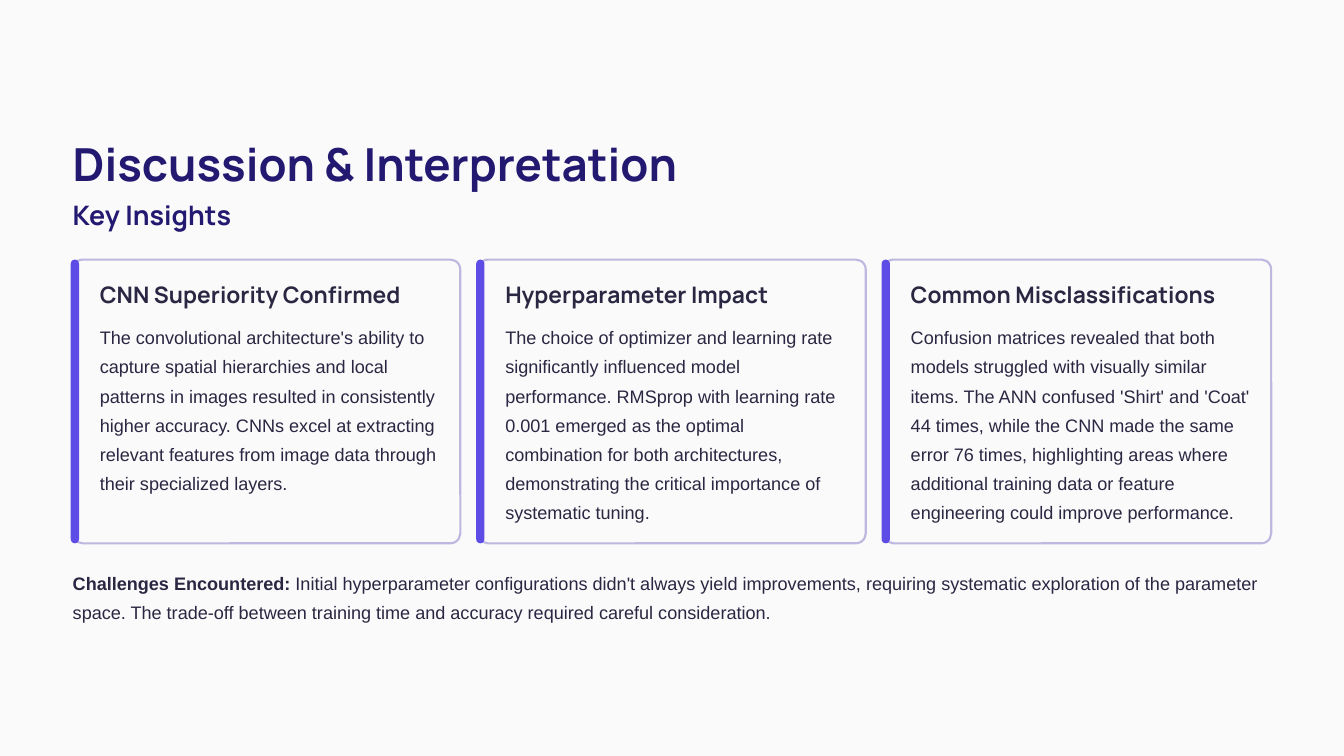
"""Build the Discussion & Interpretation slide with three insight cards."""
from typing import NamedTuple

from pptx import Presentation
from pptx.dml.color import RGBColor
from pptx.enum.shapes import MSO_SHAPE
from pptx.slide import Slide
from pptx.util import Cm, Pt

PAPER = RGBColor(0xFA, 0xFA, 0xFA)
NAVY = RGBColor(0x23, 0x19, 0x71)
INK = RGBColor(0x2A, 0x27, 0x42)
VIOLET = RGBColor(0x5E, 0x4C, 0xE6)
LILAC = RGBColor(0xBD, 0xB8, 0xDF)

LEFT = 2.2
PITCH = 12.26
TOP = 7.85
HEIGHT = 8.58


class Box(NamedTuple):
    """Place and size in centimetres."""
    left: float
    top: float
    width: float
    height: float


class Style(NamedTuple):
    """Look of a block of text."""
    font: str
    size: float
    color: RGBColor
    bold: bool
    line: float


class Card(NamedTuple):
    """Heading and body of one insight."""
    head: str
    body: str


TITLE = Style("Manrope", 39, NAVY, True, 48.5)
SUBHEAD = Style("Manrope", 23, NAVY, True, 29)
HEAD = Style("Manrope", 19.5, INK, True, 24)
BODY = Style("Arial", 15.5, INK, False, 25)

CARDS = [
    Card("CNN Superiority Confirmed",
         "The convolutional architecture's ability to capture spatial hierarchies and "
         "local patterns in images resulted in consistently higher accuracy. CNNs excel "
         "at extracting relevant features from image data through their specialized layers."),
    Card("Hyperparameter Impact",
         "The choice of optimizer and learning rate significantly influenced model "
         "performance. RMSprop with learning rate 0.001 emerged as the optimal combination "
         "for both architectures, demonstrating the critical importance of systematic tuning."),
    Card("Common Misclassifications",
         "Confusion matrices revealed that both models struggled with visually similar "
         "items. The ANN confused 'Shirt' and 'Coat' 44 times, while the CNN made the same "
         "error 76 times, highlighting areas where additional training data or feature "
         "engineering could improve performance."),
]
LABEL = "Challenges Encountered:"
NOTE = (" Initial hyperparameter configurations didn't always yield improvements, requiring "
        "systematic exploration of the parameter space. The trade-off between training time "
        "and accuracy required careful consideration.")


def add_text(slide: Slide, box: Box, style: Style, text: str, lead: str = "") -> None:
    """Add a text box, with an optional bold lead."""
    frame = slide.shapes.add_textbox(*map(Cm, box)).text_frame
    frame.word_wrap = True
    frame.margin_left = frame.margin_right = frame.margin_top = frame.margin_bottom = 0
    para = frame.paragraphs[0]
    para.line_spacing = Pt(style.line)
    para.font.name = style.font
    para.font.size = Pt(style.size)
    para.font.bold = style.bold
    para.font.color.rgb = style.color
    if lead:
        run = para.add_run()
        run.text = lead
        run.font.bold = True
    para.add_run().text = text


def add_panel(slide: Slide, box: Box, bend: float, fill: RGBColor,
              edge: RGBColor | None = None) -> None:
    """Add a rounded panel, with an optional outline."""
    panel = slide.shapes.add_shape(MSO_SHAPE.ROUNDED_RECTANGLE, *map(Cm, box))
    panel.adjustments[0] = bend
    panel.shadow.inherit = False
    panel.fill.solid()
    panel.fill.fore_color.rgb = fill
    if edge is None:
        panel.line.fill.background()
    else:
        panel.line.color.rgb = edge
        panel.line.width = Pt(1.8)


def add_card(slide: Slide, left: float, card: Card) -> None:
    """Add one card with its accent bar and text."""
    add_panel(slide, Box(left, TOP, 11.72, HEIGHT), 0.035, PAPER, LILAC)
    add_panel(slide, Box(left - 0.06, TOP, 0.25, HEIGHT), 0.5, VIOLET)
    add_text(slide, Box(left + 0.82, 8.46, 10.29, 0.86), HEAD, card.head)
    add_text(slide, Box(left + 0.82, 9.65, 10.29, 6.17), BODY, card.body)


def main() -> None:
    """Build and save the slide."""
    deck = Presentation()
    deck.slide_width, deck.slide_height = Cm(40.64), Cm(22.86)
    slide = deck.slides.add_slide(deck.slide_layouts[6])
    slide.background.fill.solid()
    slide.background.fill.fore_color.rgb = PAPER

    add_text(slide, Box(LEFT, 4.04, 20, 1.73), TITLE, "Discussion & Interpretation")
    add_text(slide, Box(LEFT, 5.97, 8.28, 1.04), SUBHEAD, "Key Insights")
    for index, card in enumerate(CARDS):
        add_card(slide, LEFT + index * PITCH, card)
    add_text(slide, Box(LEFT, 17.07, 36.22, 1.75), BODY, NOTE, LABEL)
    deck.save("out.pptx")


if __name__ == "__main__":
    main()
